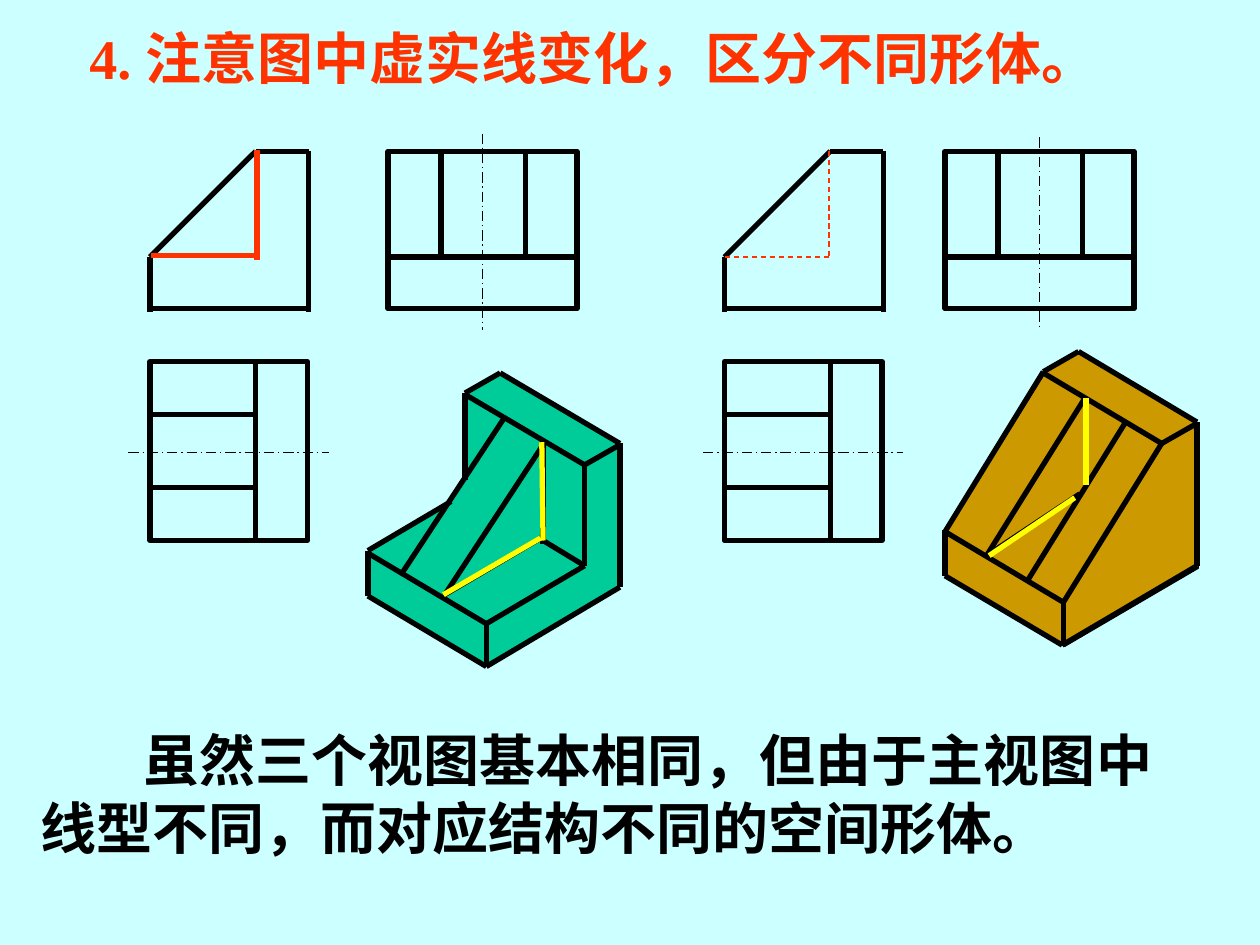
import dataclasses

import pptx
import pptx.dml.color
import pptx.enum.dml
import pptx.enum.shapes
import pptx.enum.text
import pptx.oxml.ns
import pptx.oxml.xmlchemy
import pptx.util
from pptx.util import Inches

DASH = pptx.enum.dml.MSO_LINE.DASH
CENTRE_DASH = pptx.enum.dml.MSO_LINE.LONG_DASH_DOT


@dataclasses.dataclass(frozen=True)
class Theme:
    background: str = "CCFFFF"
    ink: str = "000000"
    accent: str = "FF3300"
    highlight: str = "FFFF00"
    green: str = "00CC99"
    ochre: str = "CC9900"
    font: str = "Times New Roman"
    text_size: float = 32
    thick: float = 3
    thin: float = 0.75


THEME = Theme()

GREEN_OUTLINE = [
    (3.7, 3.13), (3.99, 2.97), (4.9, 3.51), (4.9, 4.67), (3.86, 5.28),
    (2.92, 4.73), (2.92, 4.39), (3.51, 4.03), (3.7, 3.81),
]
GREEN_EDGES = [
    [(2.92, 4.37), (2.92, 4.73), (3.86, 5.29), (4.92, 4.66),
     (4.92, 3.52), (3.97, 2.96), (3.69, 3.12), (3.69, 3.81)],
    [(3.69, 3.13), (4.64, 3.69), (4.64, 4.49), (3.86, 4.95), (2.92, 4.39)],
    [(4.64, 3.69), (4.92, 3.53)],
    [(3.86, 4.95), (3.86, 5.29)],
    [(2.92, 4.37), (3.58, 3.98)],
    [(4, 3.32), (3.19, 4.55)],
    [(4.33, 3.5), (3.53, 4.72), (4.31, 4.26)],
    [(4.64, 4.49), (4.31, 4.29)],
    [(4.31, 3.52), (4.31, 4.32)],
]
GREEN_HIGHLIGHTS = [
    [(4.3, 3.51), (4.31, 4.29)],
    [(4.29, 4.27), (3.52, 4.72)],
]
OCHRE_OUTLINE = [
    (8.56, 2.79), (9.48, 3.35), (9.51, 4.51), (8.45, 5.13),
    (7.5, 4.57), (7.51, 4.22), (8.3, 2.95),
]
OCHRE_EDGES = [
    [(7.5, 4.21), (7.5, 4.57), (8.43, 5.12), (9.5, 4.49),
     (9.5, 3.35), (8.56, 2.79), (8.28, 2.95), (7.5, 4.22)],
    [(8.28, 2.96), (9.22, 3.52), (8.44, 4.78), (7.5, 4.22)],
    [(9.22, 3.52), (9.5, 3.36)],
    [(8.44, 4.78), (8.44, 5.12)],
    [(8.61, 3.16), (7.83, 4.41), (8.57, 3.92)],
    [(8.62, 3.16), (8.62, 3.85)],
    [(8.94, 3.34), (8.16, 4.6)],
]
OCHRE_HIGHLIGHTS = [
    [(8.62, 3.16), (8.62, 3.85)],
    [(7.85, 4.41), (8.53, 3.95)],
]


def rgb(value):
    return pptx.dml.color.RGBColor.from_string(value)


def style_line(line, color, width, dash=None):
    line.color.rgb = rgb(color)
    line.width = pptx.util.Pt(width)
    if dash is not None:
        line.dash_style = dash


def add_edges(page, points, color=THEME.ink, width=THEME.thick, dash=None):
    for start, end in zip(points, points[1:]):
        edge = page.shapes.add_connector(
            pptx.enum.shapes.MSO_CONNECTOR.STRAIGHT,
            *(Inches(value) for value in (*start, *end)),
        )
        style_line(edge.line, color, width, dash)
        properties = edge.element.find(pptx.oxml.ns.qn("p:spPr"))
        properties.append(pptx.oxml.xmlchemy.OxmlElement("a:effectLst"))


def add_frame(page, left, top, width, height):
    frame = page.shapes.add_shape(
        pptx.enum.shapes.MSO_SHAPE.RECTANGLE,
        Inches(left), Inches(top), Inches(width), Inches(height),
    )
    frame.shadow.inherit = False
    frame.fill.background()
    style_line(frame.line, THEME.ink, THEME.thick)


def add_centre_line(page, start, end):
    add_edges(page, [start, end], width=THEME.thin, dash=CENTRE_DASH)


def add_front_view(page, left):
    right, step = left + 1.25, left + 0.84
    add_edges(page, [(left, 2.04), (left, 2.48)])
    add_edges(page, [(left, 2.45), (right, 2.45)])
    add_edges(page, [(right + 0.01, 2.48), (right + 0.01, 1.2), (step, 1.2), (left, 2.04)])


def add_side_view(page, left, axis_top):
    add_frame(page, left, 1.2, 1.5, 1.25)
    add_edges(page, [(left, 2.04), (left + 1.5, 2.04)])
    for offset in (0.42, 1.09):
        add_edges(page, [(left + offset, 1.2), (left + offset, 2.04)])
    add_centre_line(page, (left + 0.75, axis_top), (left + 0.75, 2.62))


def add_top_view(page, left):
    step = left + 0.84
    add_frame(page, left, 2.87, 1.25, 1.42)
    for height in (3.29, 3.87):
        add_edges(page, [(left, height), (step, height)])
    add_edges(page, [(step, 2.87), (step, 4.29)])
    add_centre_line(page, (left - 0.17, 3.59), (left + 1.42, 3.59))


def add_solid(page, outline, color, line_color, edges, highlights):
    points = [(Inches(x), Inches(y)) for x, y in outline]
    builder = page.shapes.build_freeform(*points[0])
    builder.add_line_segments(points[1:], close=True)
    body = builder.convert_to_shape()
    body.shadow.inherit = False
    body.fill.solid()
    body.fill.fore_color.rgb = rgb(color)
    style_line(body.line, line_color, THEME.thin)
    for chain in edges:
        add_edges(page, chain)
    for chain in highlights:
        add_edges(page, chain, color=THEME.highlight)


def fill_placeholder(box, place, text, color, wrap, first_indent=0):
    box.left, box.top, box.width, box.height = (Inches(value) for value in place)
    frame = box.text_frame
    frame.word_wrap = wrap
    frame.auto_size = pptx.enum.text.MSO_AUTO_SIZE.SHAPE_TO_FIT_TEXT
    frame.vertical_anchor = pptx.enum.text.MSO_ANCHOR.MIDDLE
    para = frame.paragraphs[0]
    para.alignment = pptx.enum.text.PP_ALIGN.LEFT
    para.line_spacing = 1.0
    para.space_before = pptx.util.Pt(0)
    properties = para._p.get_or_add_pPr()
    properties.set("marL", "0")
    properties.set("indent", str(Inches(first_indent)))
    properties.append(pptx.oxml.xmlchemy.OxmlElement("a:buNone"))
    span = para.add_run()
    span.text = text
    span.font.name = THEME.font
    span.font.size = pptx.util.Pt(THEME.text_size)
    span.font.bold = True
    span.font.color.rgb = rgb(color)


def main():
    deck = pptx.Presentation()
    deck.slide_width, deck.slide_height = Inches(10), Inches(7.5)
    page = deck.slides.add_slide(deck.slide_layouts[1])
    page.background.fill.solid()
    page.background.fill.fore_color.rgb = rgb(THEME.background)

    fill_placeholder(page.shapes.title, (0.61, 0.13, 8.31, 0.64),
                     "4. 注意图中虚实线变化，区分不同形体。", THEME.accent, wrap=False)
    fill_placeholder(page.placeholders[1], (0.22, 5.71, 9.36, 1.17),
                     "虽然三个视图基本相同，但由于主视图中线型不同，而对应结构不同的空间形体。",
                     THEME.ink, wrap=True, first_indent=0.82)

    add_solid(page, GREEN_OUTLINE, THEME.green, THEME.green, GREEN_EDGES, GREEN_HIGHLIGHTS)
    add_solid(page, OCHRE_OUTLINE, THEME.ochre, THEME.ink, OCHRE_EDGES, OCHRE_HIGHLIGHTS)
    for left in (1.19, 5.75):
        add_front_view(page, left)
        add_top_view(page, left)
    add_side_view(page, 3.08, axis_top=1.06)
    add_side_view(page, 7.5, axis_top=1.09)

    add_edges(page, [(1.2, 2.03), (2.05, 2.03)], THEME.accent)
    add_edges(page, [(2.04, 1.19), (2.04, 2.06)], THEME.accent)
    add_edges(page, [(5.75, 2.04), (6.58, 2.04)], THEME.accent, THEME.thin, DASH)
    add_edges(page, [(6.58, 1.2), (6.58, 2.04)], THEME.accent, THEME.thin, DASH)

    deck.save("out.pptx")


if __name__ == "__main__":
    main()
